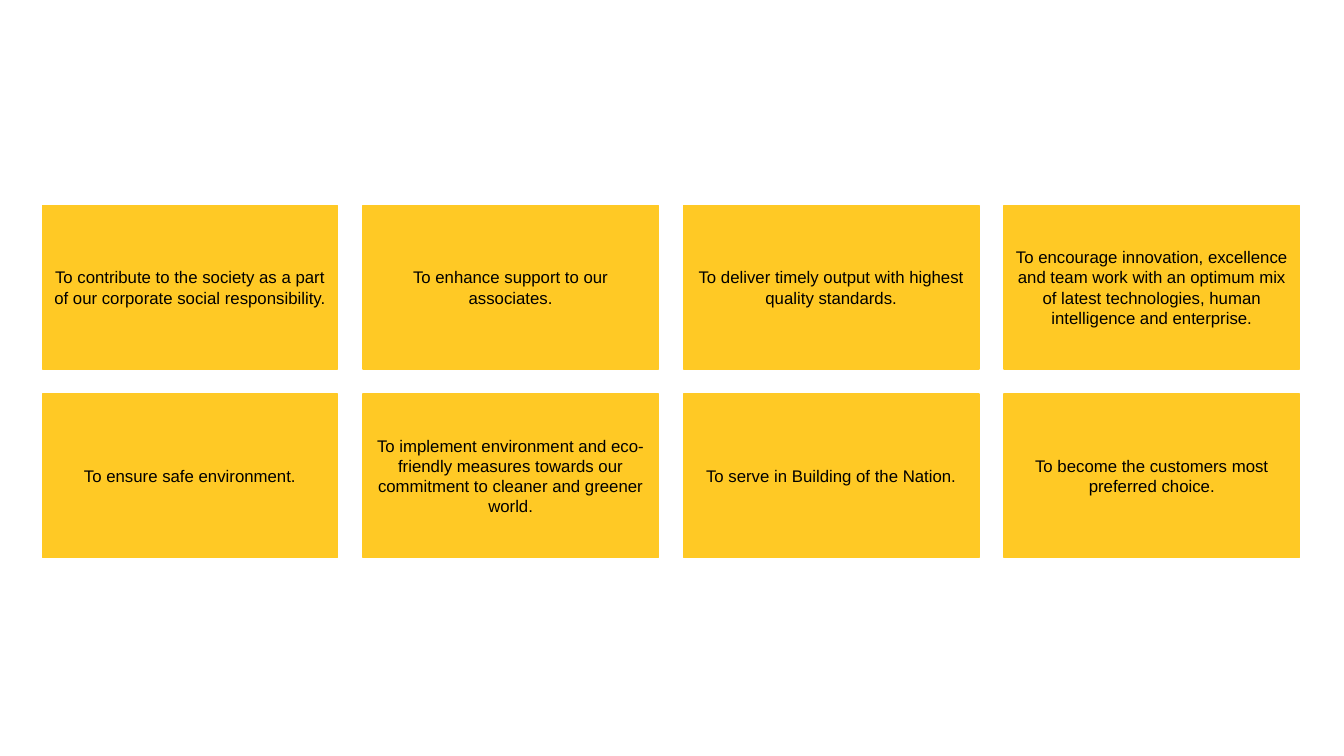
"""Build a slide with eight company goals in a grid of yellow boxes."""
from pptx import Presentation
from pptx.dml.color import RGBColor
from pptx.enum.shapes import MSO_SHAPE
from pptx.enum.text import MSO_ANCHOR, PP_ALIGN
from pptx.util import Inches, Pt

COLORS = {"box": "FFC925", "text": "000000"}
LEFT, TOP = 0.42, 2.04
WIDTH, HEIGHT, GAP = 2.93, 1.62, 0.25
COLUMNS = 4
GOALS = [
    "To contribute to the society as a part of our corporate social responsibility.",
    "To enhance support to our associates.",
    "To deliver timely output with highest quality standards.",
    "To encourage innovation, excellence and team work with an optimum mix "
    "of latest technologies, human intelligence and enterprise.",
    "To ensure safe environment.",
    "To implement environment and eco-friendly measures towards our "
    "commitment to cleaner and greener world.",
    "To serve in Building of the Nation.",
    "To become the customers most preferred choice.",
]

prs = Presentation()
prs.slide_width, prs.slide_height = Inches(13.33), Inches(7.5)
s = prs.slides.add_slide(prs.slide_layouts[6])

for i, goal in enumerate(GOALS):
    row, col = divmod(i, COLUMNS)
    sp = s.shapes.add_shape(
        MSO_SHAPE.RECTANGLE,
        Inches(LEFT + col * (WIDTH + GAP)),
        Inches(TOP + row * (HEIGHT + GAP)),
        Inches(WIDTH),
        Inches(HEIGHT),
    )
    sp.shadow.inherit = False
    sp.fill.solid()
    sp.fill.fore_color.rgb = RGBColor.from_string(COLORS["box"])
    sp.line.color.rgb = RGBColor.from_string(COLORS["box"])
    sp.line.width = Pt(1)
    tf = sp.text_frame
    tf.word_wrap = True
    tf.vertical_anchor = MSO_ANCHOR.MIDDLE
    p = tf.paragraphs[0]
    p.text = goal
    p.alignment = PP_ALIGN.CENTER
    p.font.name = "Arial"
    p.font.size = Pt(12)
    p.font.color.rgb = RGBColor.from_string(COLORS["text"])

prs.save("out.pptx")
